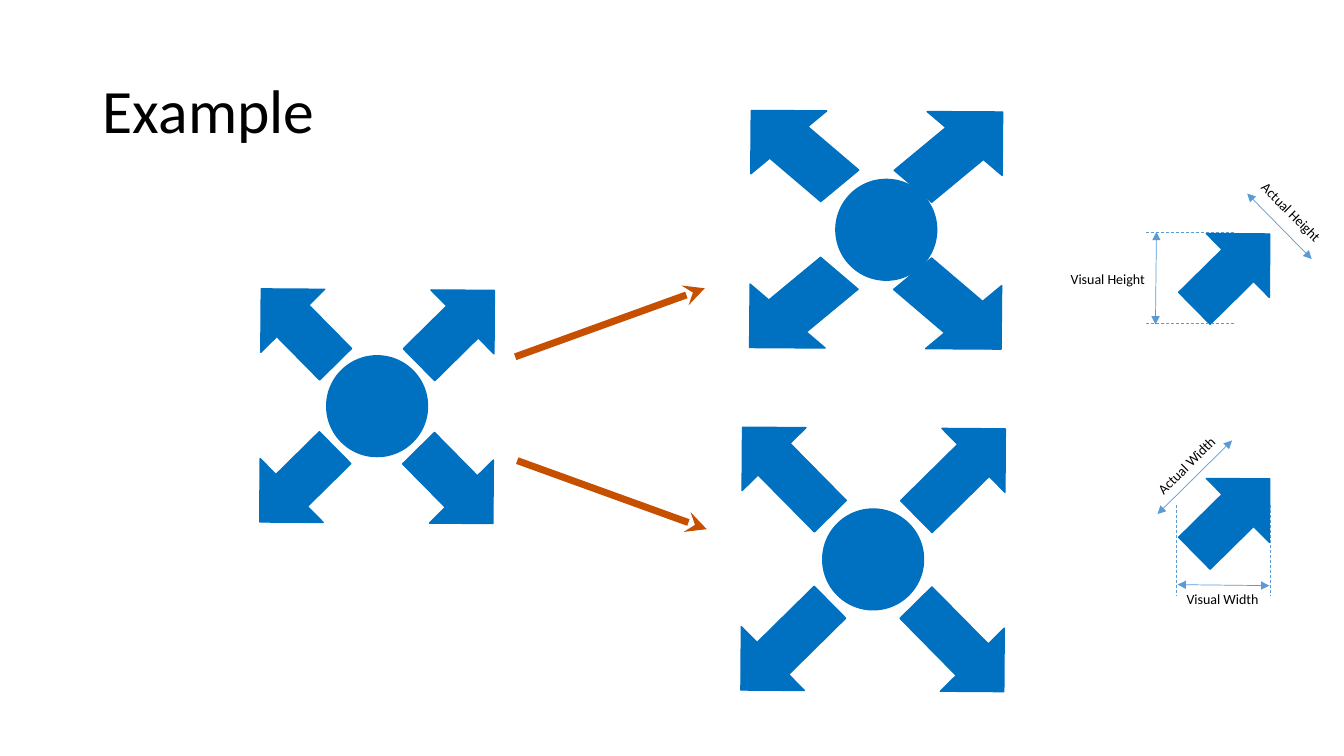
import math

import pptx
import pptx.util
from lxml import etree
from pptx.dml.color import RGBColor
from pptx.enum.dml import MSO_LINE
from pptx.enum.shapes import MSO_CONNECTOR, MSO_SHAPE
from pptx.enum.text import MSO_ANCHOR, MSO_AUTO_SIZE, PP_ALIGN
from pptx.oxml.ns import qn
from pptx.util import Inches

COLORS = {"arrow": "0070C0", "result": "C64F00", "measure": "5B9BD5", "text": "000000"}
TILT = 45.4
ARROW_LENGTH, ARROW_WIDTH = 1.05, 0.89
TITLE_FONT = {"name": "Calibri", "size": pptx.util.Pt(44)}
LABEL_FONT = {"name": "Calibri", "size": pptx.util.Pt(10)}


def color(name):
    return RGBColor.from_string(COLORS[name])


def paint(shape):
    shape.shadow.inherit = False
    shape.fill.solid()
    shape.fill.fore_color.rgb = color("arrow")
    shape.line.color.rgb = color("arrow")
    shape.line.width = pptx.util.Pt(1)


def write(frame, text, font):
    para = frame.paragraphs[0]
    span = para.add_run()
    span.text = text
    for name, value in font.items():
        setattr(span.font, name, value)
    span.font.color.rgb = color("text")
    return para


def add_solid(shapes, kind, center, width, height, rotation):
    """Add a filled preset shape placed by its middle."""
    x, y = center
    shape = shapes.add_shape(kind, Inches(x - width / 2), Inches(y - height / 2),
                             Inches(width), Inches(height))
    shape.rotation = rotation
    paint(shape)


def add_block_arrow(shapes, center, rotation, length=ARROW_LENGTH):
    add_solid(shapes, MSO_SHAPE.LEFT_ARROW, center, length, ARROW_WIDTH, rotation)


def turn(point, degrees):
    x, y = point
    cos, sin = math.cos(math.radians(degrees)), math.sin(math.radians(degrees))
    return x * cos - y * sin, x * sin + y * cos


def add_skewed_arrow(shapes, center, rotation, stretch=1.19):
    """Add a turned block arrow that is then widened horizontally."""
    tip, wing, shaft = ARROW_LENGTH / 2, ARROW_WIDTH / 2, ARROW_WIDTH / 4
    neck = wing - tip
    outline = [(-tip, 0), (neck, -wing), (neck, -shaft), (tip, -shaft),
               (tip, shaft), (neck, shaft), (neck, wing)]
    points = []
    for corner in outline:
        x, y = turn(corner, rotation)
        points.append((Inches(center[0] + x * stretch), Inches(center[1] + y)))
    builder = shapes.build_freeform(*points[0])
    builder.add_line_segments(points[1:], close=True)
    paint(builder.convert_to_shape())


def add_burst(shapes, hub, middle, offset, add_arrow, **options):
    """Add a circle and four outward arrows at quarter turns around middle."""
    add_solid(shapes, MSO_SHAPE.OVAL, hub, 1, 1, 45)
    for angle in range(0, 360, 90):
        x, y = turn(offset, angle)
        add_arrow(shapes, (middle[0] + x, middle[1] + y), TILT + angle, **options)


def add_line(shapes, start, end, tone="measure", width=0.5, head=None, tail=None, dashed=False):
    line = shapes.add_connector(MSO_CONNECTOR.STRAIGHT, *map(Inches, start + end))
    line.line.color.rgb = color(tone)
    line.line.width = pptx.util.Pt(width)
    if dashed:
        line.line.dash_style = MSO_LINE.DASH
    properties = line._element.spPr
    for tag, kind in (("a:headEnd", head), ("a:tailEnd", tail)):
        if kind:
            etree.SubElement(properties.find(qn("a:ln")), qn(tag), type=kind)
    etree.SubElement(properties, qn("a:effectLst"))


def add_measure(shapes, start, end):
    add_line(shapes, start, end, head="triangle", tail="triangle")


def add_label(shapes, text, left, top, width, rotation=0):
    box = shapes.add_textbox(*map(Inches, (left, top, width, 0.27)))
    box.rotation = rotation
    box.text_frame.word_wrap = False
    box.text_frame.auto_size = MSO_AUTO_SIZE.SHAPE_TO_FIT_TEXT
    write(box.text_frame, text, LABEL_FONT)


def add_title(page, text):
    title = page.shapes.title
    place = {"left": 0.92, "top": 0.4, "width": 11.5, "height": 1.45}
    for name, value in place.items():
        setattr(title, name, Inches(value))
    title.text_frame.vertical_anchor = MSO_ANCHOR.MIDDLE
    para = write(title.text_frame, text, TITLE_FONT)
    para.alignment = PP_ALIGN.LEFT
    para.line_spacing = 0.9


def add_height_guide(page):
    shapes = page.shapes.add_group_shape().shapes
    add_block_arrow(shapes, (12.22, 2.69), 90 + TILT)
    for y in (2.31, 3.21):
        add_line(shapes, (11.37, y), (12.26, y), dashed=True)
    add_measure(shapes, (11.47, 2.3), (11.46, 3.22))
    add_label(shapes, "Visual Height", 10.52, 2.63, 0.95)
    add_label(shapes, "Actual Height", 12.32, 1.99, 1.01, 45)
    add_measure(shapes, (12.37, 1.92), (13.01, 2.57))


def add_width_guide(page):
    shapes = page.shapes.add_group_shape().shapes
    add_measure(shapes, (12.22, 4.37), (11.48, 5.1))
    add_block_arrow(shapes, (12.22, 5.12), 90 + TILT)
    for x in (12.6, 11.67):
        add_line(shapes, (x, 5.01), (x, 5.91), dashed=True)
    add_measure(shapes, (12.59, 5.81), (11.68, 5.8))
    add_label(shapes, "Visual Width", 11.67, 5.81, 0.92)
    add_label(shapes, "Actual Width", 11.3, 4.48, 0.94, 315)


def main():
    deck = pptx.Presentation()
    deck.slide_width, deck.slide_height = Inches(13.33), Inches(7.5)
    page = deck.slides.add_slide(deck.slide_layouts[5])
    shapes = page.shapes
    add_title(page, "Example")

    add_burst(shapes, (3.74, 4.03), (3.74, 4.03), (-0.78, -0.79), add_block_arrow)
    for start, end in (((5.13, 4.57), (7.01, 5.25)), ((5.11, 3.54), (6.99, 2.86))):
        add_line(shapes, start, end, "result", 5, tail="stealth")
    add_burst(shapes, (8.79, 2.28), (8.69, 2.28), (-0.8, -0.81), add_skewed_arrow)
    add_burst(shapes, (8.66, 5.55), (8.66, 5.55), (-0.86, -0.87), add_block_arrow, length=1.24)

    add_height_guide(page)
    add_width_guide(page)
    deck.save("out.pptx")


if __name__ == "__main__":
    main()
